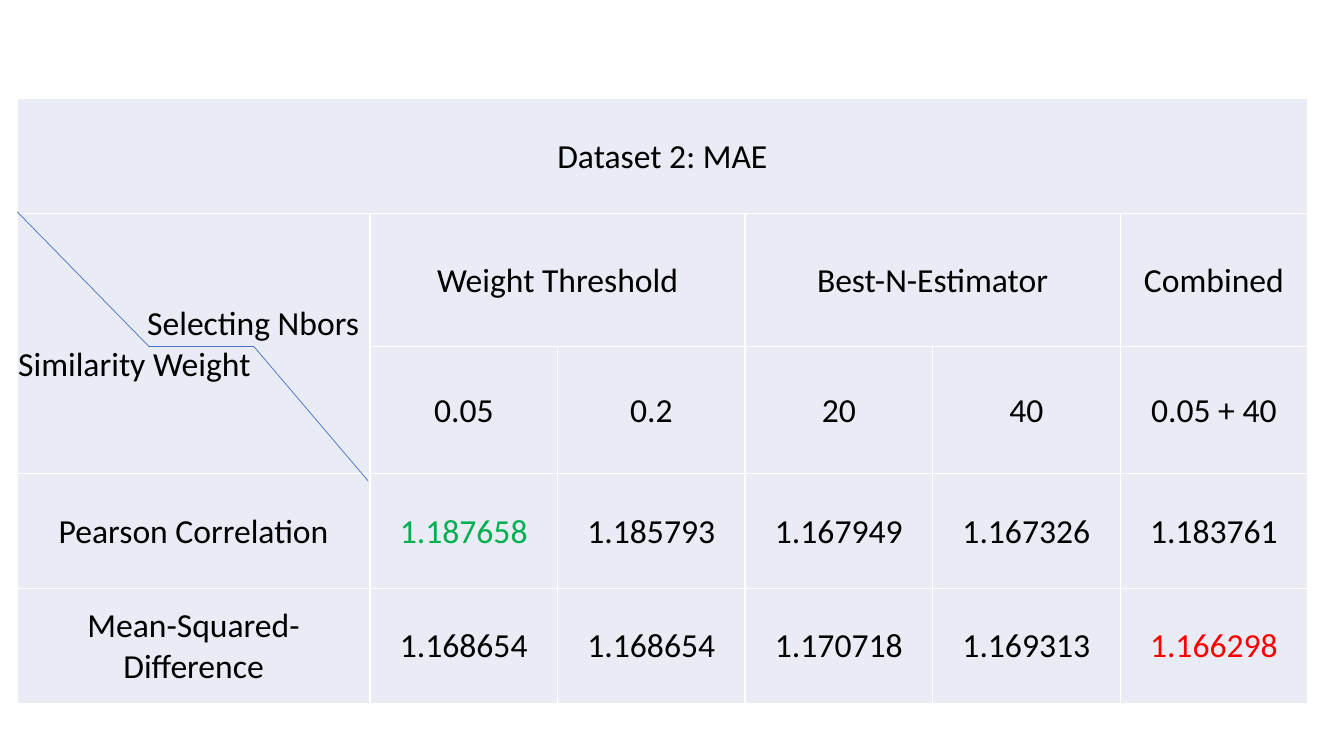
from itertools import pairwise

from lxml import etree
from pptx import Presentation
from pptx.dml.color import RGBColor
from pptx.enum.shapes import MSO_CONNECTOR
from pptx.enum.text import MSO_ANCHOR, PP_ALIGN
from pptx.oxml.ns import qn
from pptx.util import Inches, Pt

BLACK = RGBColor(0x00, 0x00, 0x00)
WHITE = RGBColor(0xFF, 0xFF, 0xFF)
PALE_BLUE = RGBColor(0xE9, 0xEB, 0xF5)
LINE_BLUE = RGBColor(0x44, 0x72, 0xC4)
GREEN = RGBColor(0x00, 0xB0, 0x50)
RED = RGBColor(0xFF, 0x00, 0x00)

COLUMN_WIDTHS = [3.5] + [1.86] * 5
ROW_HEIGHTS = [1.14, 1.32, 1.26, 1.14, 1.14]
CORNER = (1, 0)
SELECTING_INDENT = 1.28
ROWS = [
    ["Dataset 2: MAE", "", "", "", "", ""],
    ["Selecting Nbors\nSimilarity Weight", "Weight Threshold", "",
     "Best-N-Estimator", "", "Combined"],
    ["", "0.05", "0.2", "20", "40", "0.05 + 40"],
    ["Pearson Correlation", "1.187658", "1.185793", "1.167949", "1.167326", "1.183761"],
    ["Mean-Squared-Difference", "1.168654", "1.168654", "1.170718", "1.169313", "1.166298"],
]
MERGES = [((0, 0), (0, 5)), ((1, 0), (2, 0)), ((1, 1), (1, 2)), ((1, 3), (1, 4))]
HIGHLIGHTS = {(3, 1): GREEN, (4, 5): RED}


def add_borders(cell):
    """Draw a thin white line on all four sides; call before filling the cell."""
    properties = cell._tc.get_or_add_tcPr()
    for side in ("a:lnL", "a:lnR", "a:lnT", "a:lnB"):
        line = etree.SubElement(properties, qn(side), w=str(Pt(1)))
        fill = etree.SubElement(line, qn("a:solidFill"))
        etree.SubElement(fill, qn("a:srgbClr"), val=str(WHITE))


def format_cell(cell, text, color, align):
    add_borders(cell)
    cell.fill.solid()
    cell.fill.fore_color.rgb = PALE_BLUE
    cell.vertical_anchor = MSO_ANCHOR.MIDDLE
    cell.margin_left = cell.margin_right = cell.margin_top = Inches(0.01)
    cell.margin_bottom = 0
    cell.text = text
    for para in cell.text_frame.paragraphs:
        para.alignment = align
        para.font.name = "Calibri"
        para.font.size = Pt(24)
        para.font.color.rgb = color


def add_results_table(slide, left, top):
    frame = slide.shapes.add_table(
        len(ROWS), len(COLUMN_WIDTHS), Inches(left), Inches(top),
        Inches(sum(COLUMN_WIDTHS)), Inches(sum(ROW_HEIGHTS)))
    table = frame.table
    table.first_row = table.horz_banding = False
    for column, width in zip(table.columns, COLUMN_WIDTHS):
        column.width = Inches(width)
    for row, height in zip(table.rows, ROW_HEIGHTS):
        row.height = Inches(height)
    for r, texts in enumerate(ROWS):
        for c, text in enumerate(texts):
            align = PP_ALIGN.LEFT if (r, c) == CORNER else PP_ALIGN.CENTER
            format_cell(table.cell(r, c), text, HIGHLIGHTS.get((r, c), BLACK), align)
    for first, last in MERGES:
        table.cell(*first).merge(table.cell(*last))
    selecting = table.cell(*CORNER).text_frame.paragraphs[0]
    selecting._p.get_or_add_pPr().set("marL", str(Inches(SELECTING_INDENT)))


def add_corner_divider(slide, left, top):
    """Draw the stepped line that parts the two labels of the corner cell."""
    steps = [(0, 0), (1.31, 1.34), (2.35, 1.34), (3.48, 2.67)]
    points = [(Inches(left + x), Inches(top + y)) for x, y in steps]
    for start, end in pairwise(points):
        divider = slide.shapes.add_connector(MSO_CONNECTOR.STRAIGHT, *start, *end)
        divider.line.color.rgb = LINE_BLUE
        divider.line.width = Pt(0.5)
        etree.SubElement(divider._element.spPr, qn("a:effectLst"))


def main():
    deck = Presentation()
    deck.slide_width, deck.slide_height = Inches(13.33), Inches(7.5)
    blank_layout = deck.slide_layouts[6]
    slide = deck.slides.add_slide(blank_layout)
    left, top = 0.17, 0.98
    add_results_table(slide, left, top)
    add_corner_divider(slide, left, top + 1.12)
    deck.save("out.pptx")


if __name__ == "__main__":
    main()
